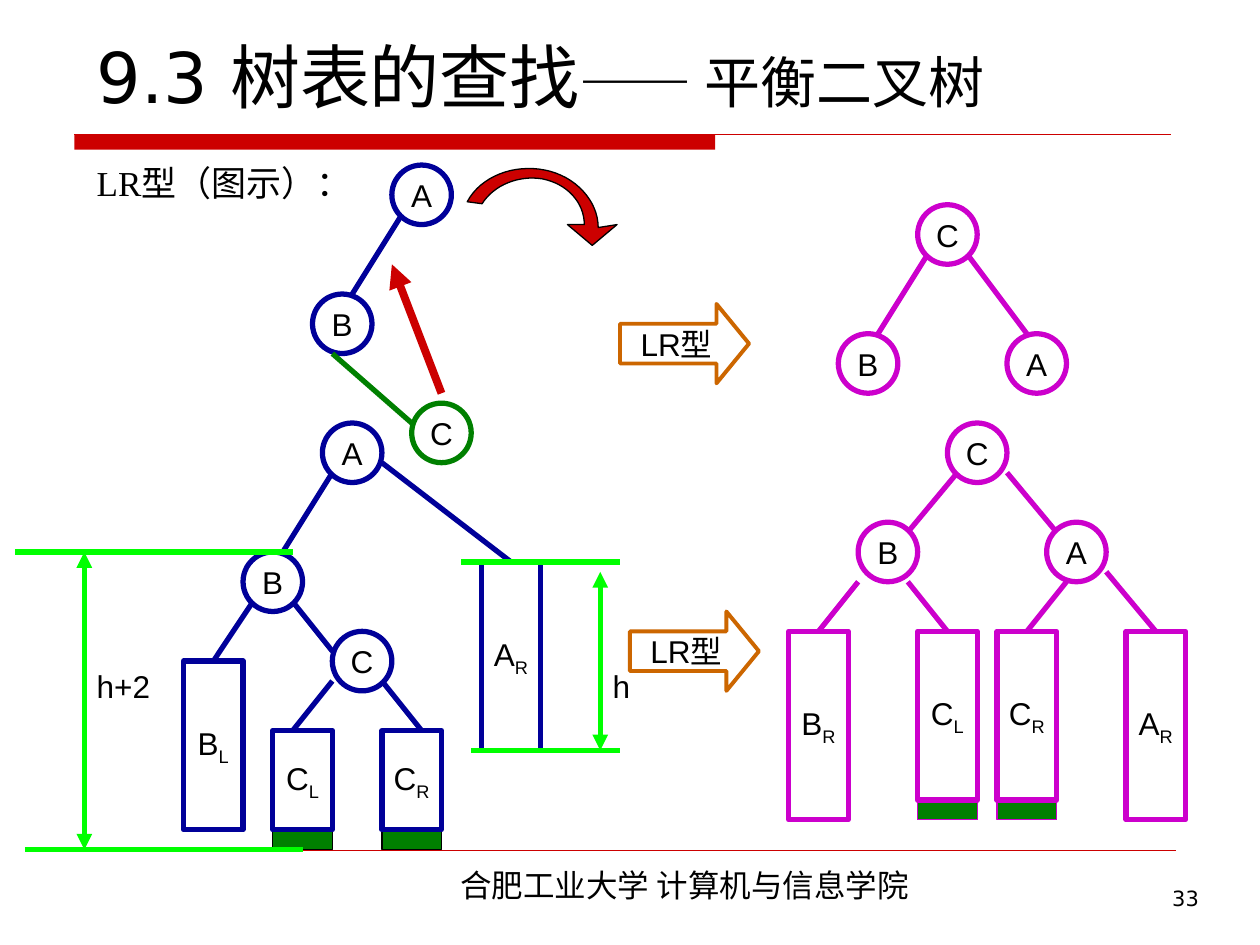
from dataclasses import dataclass

from pptx import Presentation
from pptx.dml.color import RGBColor
from pptx.enum.shapes import MSO_CONNECTOR, MSO_SHAPE
from pptx.enum.text import MSO_ANCHOR, PP_ALIGN
from pptx.oxml.ns import qn
from pptx.util import Inches, Pt
from lxml.etree import SubElement


@dataclass(frozen=True)
class Theme:
    ink: str = "000000"
    red: str = "CC0000"
    navy: str = "000099"
    green: str = "008000"
    lime: str = "00FF00"
    pink: str = "CC00CC"
    amber: str = "CC6600"
    sans: str = "Arial"
    serif: str = "Times New Roman"
    head: str = "DejaVu Sans"
    han: str = "Noto Sans CJK SC"
    title: int = 40
    sub: int = 32
    lead: int = 20
    label: int = 18
    page: int = 12
    thin: float = 0.75
    stroke: float = 3


T = Theme()
CELL = 10 / 127  # grid step in inches
NODE = 6  # node and box width in cells


def span(cells):
    return Inches(cells * CELL)


def left(col):
    return span(col + 0.5)


def top(row):
    return span(row + 0.64)


def place(col, row, wide, high):
    return left(col), top(row), span(wide), span(high)


def ink(color):
    return RGBColor.from_string(color)


def add_run(para, text, size=T.label, face=T.sans, low=False):
    run = para.add_run()
    run.text = text
    run.font.size = Pt(size)
    run.font.color.rgb = ink(T.ink)
    run.font.name = face
    props = run._r.get_or_add_rPr()
    SubElement(props, qn("a:ea")).set("typeface", T.han)
    if low:
        props.set("baseline", "-25000")


def add_text(slide, area, runs, align=PP_ALIGN.LEFT, anchor=MSO_ANCHOR.TOP):
    frame = slide.shapes.add_textbox(*place(*area)).text_frame
    frame.word_wrap = True
    frame.vertical_anchor = anchor
    para = frame.paragraphs[0]
    para.alignment = align
    for run in runs:
        add_run(para, *run)


def paint(shape, fill, line, width):
    shape.shadow.inherit = False
    if fill:
        shape.fill.solid()
        shape.fill.fore_color.rgb = ink(fill)
    else:
        shape.fill.background()
    if line:
        shape.line.color.rgb = ink(line)
        shape.line.width = Pt(width)
    else:
        shape.line.fill.background()


def add_form(slide, kind, area, line, text="", fill=None, width=T.stroke):
    """Draw a preset shape; the part of text after "_" is a subscript."""
    shape = slide.shapes.add_shape(kind, *place(*area))
    paint(shape, fill, line, width)
    if text:
        frame = shape.text_frame
        frame.word_wrap = False
        frame.vertical_anchor = MSO_ANCHOR.MIDDLE
        para = frame.paragraphs[0]
        para.alignment = PP_ALIGN.CENTER
        base, _, low = text.partition("_")
        add_run(para, base)
        if low:
            add_run(para, low, low=True)
    return shape


def add_node(slide, text, col, row, color):
    add_form(slide, MSO_SHAPE.OVAL, (col, row, NODE, NODE), color, text)


def add_box(slide, text, col, row, high, color):
    area = (col, row, NODE, high)
    return add_form(slide, MSO_SHAPE.RECTANGLE, area, color, text)


def add_bar(slide, col, row, line):
    """Mark the level where the new key was added."""
    area = (col, row, NODE, 2)
    add_form(slide, MSO_SHAPE.RECTANGLE, area, line, fill=T.green, width=T.thin)


def add_line(slide, ends, color, width=T.stroke, tips=(), box=None):
    """Draw a line; with a box, its end joins the middle of the box's top."""
    x1, y1, x2, y2 = ends
    line = slide.shapes.add_connector(
        MSO_CONNECTOR.STRAIGHT, left(x1), top(y1), left(x2), top(y2))
    line.line.color.rgb = ink(color)
    line.line.width = Pt(width)
    if box is not None:
        line.end_connect(box, 0)
    stroke = line.line._get_or_add_ln()
    for tip in tips:
        SubElement(stroke, qn("a:" + tip)).set("type", "triangle")
    SubElement(line._element.spPr, qn("a:effectLst"))


def add_tree(slide, color, nodes, edges, boxes=()):
    """Boxes are (text, col, row, high, start of the edge to the top or None)."""
    for ends in edges:
        add_line(slide, ends, color)
    for text, col, row, high, start in boxes:
        box = add_box(slide, text, col, row, high, color)
        if start:
            add_line(slide, (*start, col + NODE / 2, row), color, box=box)
    for node in nodes:
        add_node(slide, *node, color)


def curve(a, b, c, d, steps=16):
    """Points of a cubic curve from a to d."""
    for i in range(steps + 1):
        t = i / steps
        s = 1 - t
        yield tuple(s**3 * p + 3 * s * s * t * q + 3 * s * t * t * r + t**3 * v
                    for p, q, r, v in zip(a, b, c, d))


def add_turn(slide):
    """Draw the curved arrow for the clockwise turn."""
    dots = [
        *curve((58.4, 22), (58.4, 19.8), (56.7, 17.9), (54.2, 17.4)),
        *curve((54.2, 17.4), (51.8, 17), (49.3, 18), (48.1, 19.9)),
        *curve((46.6, 19.7), (48, 17.1), (51.3, 15.9), (54.4, 16.5)),
        *curve((54.4, 16.5), (57.5, 17.1), (59.8, 19.6), (59.8, 22.3)),
        (61.7, 22), (59.2, 24.1), (56.7, 22),
    ]
    first, *rest = [(left(x), top(y)) for x, y in dots]
    form = slide.shapes.build_freeform(*first)
    form.add_line_segments(rest, close=True)
    paint(form.convert_to_shape(), T.red, T.ink, T.thin)


def add_frame(slide):
    area = (7, 12.95, 64.6, 1.5)
    add_form(slide, MSO_SHAPE.RECTANGLE, area, None, fill=T.red)
    add_line(slide, (7, 12.95, 117.5, 12.95), T.red, T.thin)
    add_line(slide, (8, 85.1, 118, 85.1), T.red, 0.25)
    add_text(slide, (30, 86, 77, 5), [("合肥工业大学 计算机与信息学院",)],
             PP_ALIGN.CENTER)
    add_text(slide, (8, -0.64, 111, 12.5),
             [("9.3 树表的查找", T.title, T.head),
              ("—— 平衡二叉树", T.sub, T.head)], anchor=MSO_ANCHOR.BOTTOM)
    add_text(slide, (8, 15, 111, 71), [("LR型（图示）：", T.lead, T.serif)])
    add_text(slide, (94, 88, 27.6, 6.6), [("33", T.page, T.head)],
             PP_ALIGN.RIGHT)


def add_sizes(slide):
    """Draw the height marks."""
    for ends in ((1, 55, 29, 55), (2, 85, 30, 85),
                 (46, 56, 62, 56), (47, 75, 62, 75)):
        add_line(slide, ends, T.lime)
    for ends in ((8, 55, 8, 85), (60, 57, 60, 75)):
        add_line(slide, ends, T.lime, tips=("headEnd", "tailEnd"))
    add_text(slide, (8, 66, 10, 5), [("h+2",)])
    add_text(slide, (60, 66, 4, 5), [("h",)])


def main():
    deck = Presentation()
    deck.slide_width, deck.slide_height = Inches(10), Inches(7.5)
    slide = deck.slides.add_slide(deck.slide_layouts[6])
    add_frame(slide)

    add_tree(slide, T.navy, [("A", 39, 16), ("B", 31, 29)], [(40, 21, 35, 29)])
    add_tree(slide, T.green, [("C", 41, 40)], [(33, 35, 41, 42)])
    add_turn(slide)
    add_line(slide, (44, 39, 39, 26), T.red, 4.5, ("tailEnd",))
    add_tree(slide, T.pink, [("C", 92, 20), ("B", 84, 33), ("A", 101, 33)],
             [(93, 25, 88, 33), (97, 25, 103, 33)])

    for col, row in ((27, 83), (38, 83)):
        add_bar(slide, col, row, T.ink)
    add_tree(slide, T.navy, [("A", 32, 42), ("B", 24, 55), ("C", 33, 63)],
             [(33, 47, 28, 55), (29, 60, 33, 65), (33, 68, 29, 73),
              (38, 68, 42, 73)],
             [("B_L", 18, 66, 17, (25, 60)), ("C_L", 27, 73, 10, None),
              ("C_R", 38, 73, 10, None), ("A_R", 48, 56, 19, (38, 46))])
    add_sizes(slide)

    for col in (92, 100):
        add_bar(slide, col, 80, T.pink)
    add_tree(slide, T.pink, [("C", 95, 42), ("B", 86, 52), ("A", 105, 52)],
             [(96, 47, 91, 53), (101, 47, 106, 53)],
             [("B_R", 79, 63, 19, (86, 58)), ("C_L", 92, 63, 17, (91, 58)),
              ("C_R", 100, 63, 17, (107, 58)), ("A_R", 113, 63, 19, (111, 57))])

    for col, row in ((62, 30), (63, 61)):
        arrow = add_form(slide, MSO_SHAPE.RIGHT_ARROW, (col, row, 13, 8),
                         T.amber, "LR型", width=2.25)
        arrow.adjustments[1] = 0.41
    deck.save("out.pptx")


if __name__ == "__main__":
    main()
